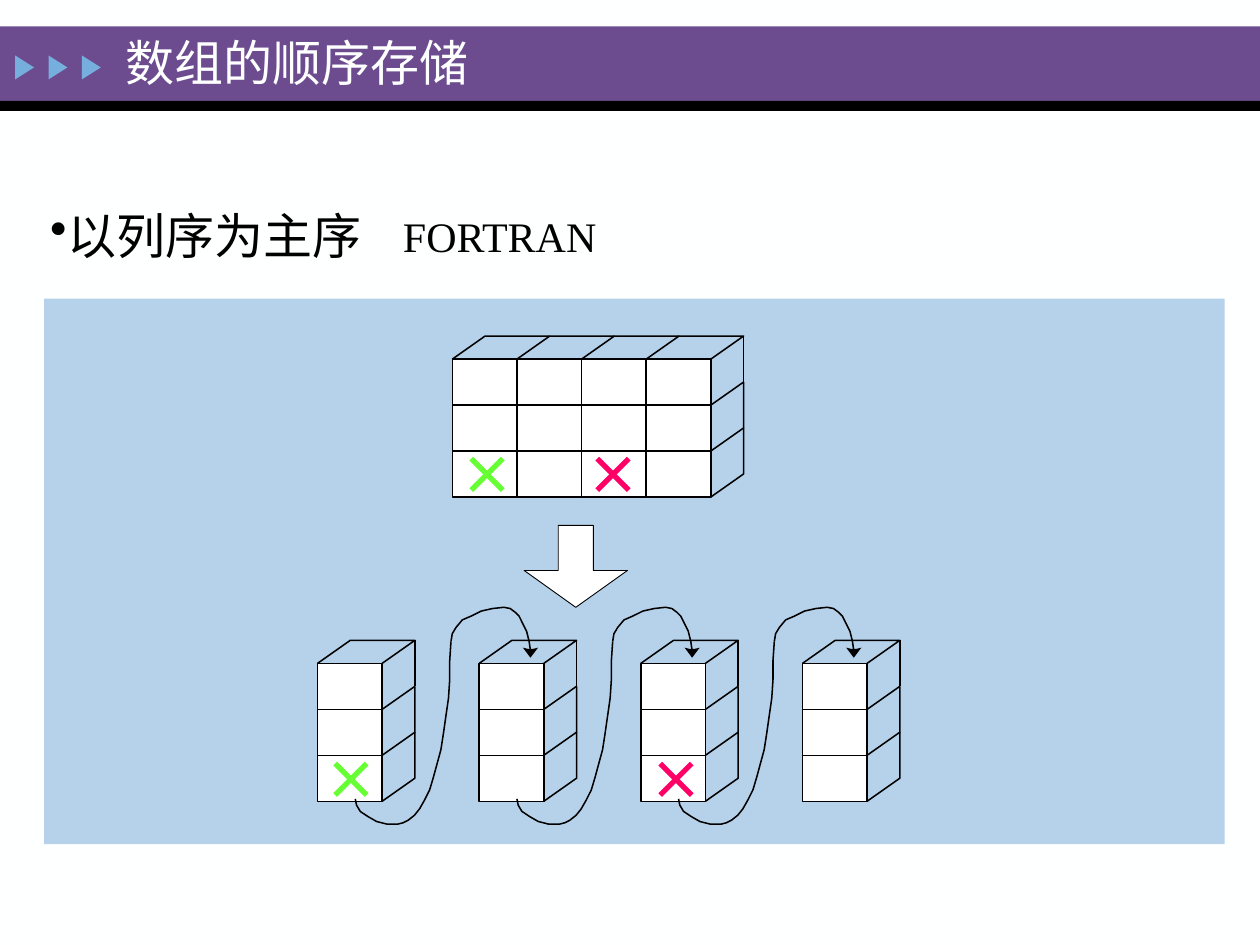
"""Build a slide on column-major storage of arrays, laid out on a grid of 100 columns by 75 rows."""
from dataclasses import dataclass
from typing import Optional

from lxml.etree import SubElement
from pptx import Presentation
from pptx.dml.color import RGBColor
from pptx.enum.shapes import MSO_CONNECTOR, MSO_SHAPE
from pptx.enum.text import MSO_ANCHOR, MSO_AUTO_SIZE
from pptx.oxml.ns import qn
from pptx.util import Inches, Pt

COLORS = {
    "paper": "FEFFFF", "banner": "6C4C8F", "ink": "000000", "marker": "76AEDD",
    "panel": "B6D2EA", "cell": "FFFFFF", "green": "66FF33", "pink": "FF0066",
}
FONT = "Times New Roman"
OUTLINE = 0.88
CELL_WIDTH, CELL_HEIGHT = 5.13, 3.65
DEPTH, RISE = 2.6, 1.83
ROWS = 3
COLUMN_LEFT, COLUMN_TOP, COLUMN_PITCH = 25.2, 52.65, 12.83

Point = tuple[float, float]

DESCENT: list[Point] = [
    (28.2, 63.4), (28.3, 63.9), (28.6, 64.4), (29.2, 64.8), (29.9, 65.2), (30.7, 65.4),
    (31.6, 65.4), (32, 65.3), (32.4, 65.1), (32.9, 64.7), (33.3, 64.2), (33.7, 63.5),
    (34.1, 62.7), (34.4, 61.7), (34.7, 60.6), (35, 59.5), (35.2, 58.2), (35.4, 56.8),
    (35.6, 55.4), (35.7, 53.9), (35.7, 52.4), (35.8, 50.9),
]
ASCENT: list[Point] = [
    (35.8, 50.9), (35.9, 50.3), (36.2, 49.8), (36.7, 49.2), (37.4, 48.9), (38.2, 48.5),
    (39.1, 48.3), (40, 48.2), (40.5, 48.3), (40.9, 48.6), (41.2, 48.9), (41.5, 49.5),
    (41.8, 50.1), (42, 50.9), (42.1, 51.6),
]
ARROWHEAD: list[Point] = [(42.1, 52.2), (42.7, 51.4), (42.3, 51.5), (41.9, 51.5), (41.5, 51.4)]


@dataclass(frozen=True)
class Box:
    left: float
    top: float
    width: float
    height: float


@dataclass(frozen=True)
class Block:
    left: float
    top: float
    columns: int


@dataclass(frozen=True)
class Cross:
    x: float
    y: float
    color: str


@dataclass(frozen=True)
class Label:
    text: str
    box: Box
    size: int
    color: str = "ink"
    bullet: bool = False
    banner: bool = False


BLOCKS = [Block(35.9, 28.5, 4)] + [
    Block(COLUMN_LEFT + index * COLUMN_PITCH, COLUMN_TOP, 1) for index in range(4)
]
CROSSES = [
    Cross(48.65, 37.65, "pink"), Cross(53.65, 61.85, "pink"),
    Cross(27.85, 61.85, "green"), Cross(38.65, 37.65, "green"),
]
LABELS = [
    Label("以列序为主序", Box(3, 15.8, 26.7, 5.7), 28, bullet=True),
    Label("FORTRAN", Box(31, 16.2, 17.6, 5), 24),
    Label("数组的顺序存储", Box(9, 2.1, 58.2, 5.7), 28, "paper", banner=True),
]


def grid(units: float) -> int:
    return Inches(units / 10)


def rgb(name: str) -> RGBColor:
    return RGBColor.from_string(COLORS[name])


def paint(shape, fill: Optional[str], line_width: float = 0) -> None:
    shape.shadow.inherit = False
    if fill:
        shape.fill.solid()
        shape.fill.fore_color.rgb = rgb(fill)
    else:
        shape.fill.background()
    if line_width:
        shape.line.color.rgb = rgb("ink")
        shape.line.width = Pt(line_width)
    else:
        shape.line.fill.background()


def draw_box(slide, box: Box, fill: str, line_width: float = 0, preset=MSO_SHAPE.RECTANGLE):
    shape = slide.shapes.add_shape(
        preset, grid(box.left), grid(box.top), grid(box.width), grid(box.height))
    paint(shape, fill, line_width)
    return shape


def draw_line(slide, start: Point, end: Point, color: str = "ink", width: float = OUTLINE) -> None:
    line = slide.shapes.add_connector(
        MSO_CONNECTOR.STRAIGHT, *(grid(value) for value in (*start, *end)))
    line.line.color.rgb = rgb(color)
    line.line.width = Pt(width)
    SubElement(line._element.spPr, qn("a:effectLst"))


def draw_path(slide, points: list[Point], fill: Optional[str] = None) -> None:
    corners = [(grid(x), grid(y)) for x, y in points]
    builder = slide.shapes.build_freeform(*corners[0])
    builder.add_line_segments(corners[1:], close=bool(fill))
    paint(builder.convert_to_shape(), fill, 0 if fill else OUTLINE)


def draw_block(slide, block: Block) -> None:
    right = block.left + block.columns * CELL_WIDTH
    back = right + DEPTH
    for column in range(block.columns):
        left = block.left + column * CELL_WIDTH
        for row in range(ROWS):
            cell = Box(left, block.top + row * CELL_HEIGHT, CELL_WIDTH, CELL_HEIGHT)
            draw_box(slide, cell, "cell", OUTLINE)
        lid = [(left, block.top), (left + DEPTH, block.top - RISE),
               (left + DEPTH + CELL_WIDTH, block.top - RISE)]
        if column == block.columns - 1:
            lid.append((right, block.top))
        draw_path(slide, lid)
    for row in range(ROWS):
        bottom = block.top + (row + 1) * CELL_HEIGHT
        front, corner = (right, bottom), (back, bottom - RISE)
        upper = (back, bottom - RISE - CELL_HEIGHT)
        if row == 0:
            draw_line(slide, upper, corner)
            draw_line(slide, front, corner)
        else:
            draw_path(slide, [front, corner, upper])


def draw_link(slide, shift: float) -> None:
    for points, fill in ((DESCENT, None), (ASCENT, None), (ARROWHEAD, "ink")):
        draw_path(slide, [(x + shift, y) for x, y in points], fill)


def draw_cross(slide, cross: Cross, reach: float = 1.25) -> None:
    for side in (reach, -reach):
        draw_line(slide, (cross.x + side, cross.y - reach),
                  (cross.x - side, cross.y + reach), cross.color, 3)


def draw_label(slide, label: Label) -> None:
    box = label.box
    frame = slide.shapes.add_textbox(
        grid(box.left), grid(box.top), grid(box.width), grid(box.height)).text_frame
    frame.word_wrap = label.banner
    if label.banner:
        frame.vertical_anchor = MSO_ANCHOR.MIDDLE
    else:
        frame.auto_size = MSO_AUTO_SIZE.SHAPE_TO_FIT_TEXT
    frame.text = label.text
    paragraph = frame.paragraphs[0]
    if label.bullet:
        SubElement(paragraph._p.get_or_add_pPr(), qn("a:buChar"), char="•")
    font = paragraph.runs[0].font
    font.name, font.size = FONT, Pt(label.size)
    font.color.rgb = rgb(label.color)


def main() -> None:
    deck = Presentation()
    deck.slide_width, deck.slide_height = grid(100), grid(75)
    slide = deck.slides.add_slide(deck.slide_layouts[6])
    slide.background.fill.solid()
    slide.background.fill.fore_color.rgb = rgb("paper")
    draw_box(slide, Box(0, 2.1, 100, 5.9), "banner")
    draw_box(slide, Box(0, 8, 100, 0.8), "ink")
    for index in range(3):
        marker = Box(1 + index * 2.65, 4.6, 1.9, 1.5)
        draw_box(slide, marker, "marker", preset=MSO_SHAPE.ISOSCELES_TRIANGLE).rotation = 90
    draw_box(slide, Box(3.5, 23.7, 93.7, 43.3), "panel")
    for block in BLOCKS:
        draw_block(slide, block)
    arrow = draw_box(slide, Box(41.6, 41.7, 8.2, 6.5), "cell", 0.5, MSO_SHAPE.DOWN_ARROW)
    arrow.adjustments[0], arrow.adjustments[1] = 0.34, 0.45
    for index in range(3):
        draw_link(slide, index * COLUMN_PITCH)
    for cross in CROSSES:
        draw_cross(slide, cross)
    for label in LABELS:
        draw_label(slide, label)
    deck.save("out.pptx")


if __name__ == "__main__":
    main()
